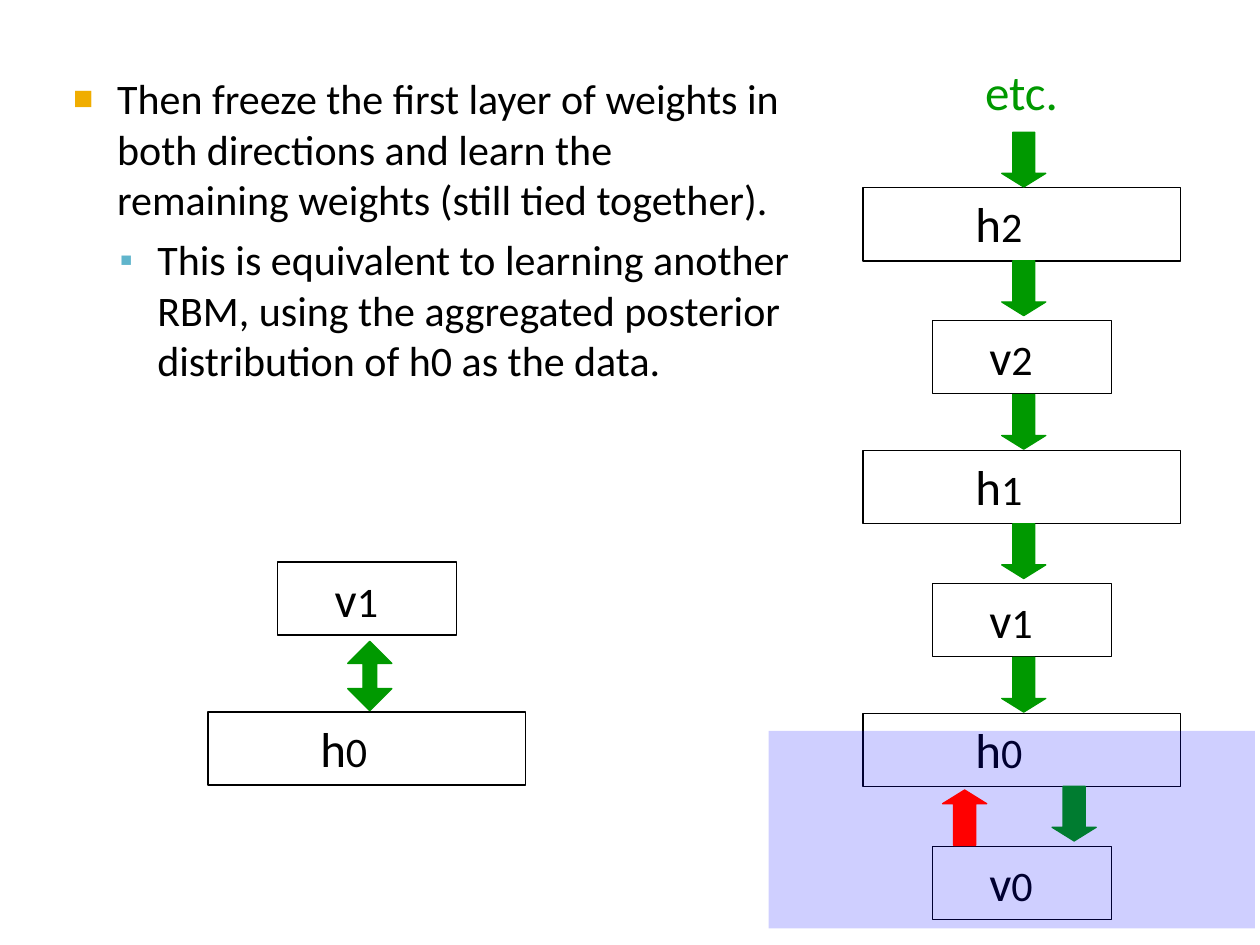
from pptx import Presentation
from pptx.dml.color import RGBColor
from pptx.enum.shapes import MSO_SHAPE
from pptx.enum.text import MSO_ANCHOR
from pptx.util import Pt
from lxml import etree

A = "{http://schemas.openxmlformats.org/drawingml/2006/main}"
COLORS = {"text": "000000", "down": "009900", "up": "FF0000", "frozen": "0000FF",
          "bullet1": "F0AD00", "bullet2": "60B5CC"}


def add_run(p, text, size=24, color="text", font="Calibri"):
    r = p.add_run()
    r.text = text
    r.font.size = Pt(size)
    r.font.name = font
    r.font.color.rgb = RGBColor.from_string(COLORS[color])


def add_shape(kind, x, y, w, h, fill=None, line=None):
    sp = s.shapes.add_shape(kind, Pt(x), Pt(y), Pt(w), Pt(h))
    sp.shadow.inherit = False
    if fill:
        sp.fill.solid()
        sp.fill.fore_color.rgb = RGBColor.from_string(COLORS[fill])
    else:
        sp.fill.background()
    if line:
        sp.line.color.rgb = RGBColor.from_string(COLORS[line])
        sp.line.width = Pt(0.75)
    else:
        sp.line.fill.background()
    return sp


prs = Presentation()
prs.slide_width, prs.slide_height = Pt(720), Pt(540)
s = prs.slides.add_slide(prs.slide_layouts[1])
title = s.shapes.title
title.element.getparent().remove(title.element)

# Bulleted explanation
body = s.placeholders[1]
body.left, body.top, body.width, body.height = Pt(28), Pt(34.5), Pt(430.5), Pt(252.5)
tf = body.text_frame
tf.word_wrap = True
tf.vertical_anchor = MSO_ANCHOR.TOP
tf.margin_left, tf.margin_top, tf.margin_right, tf.margin_bottom = Pt(4.3), Pt(7.2), Pt(7.2), Pt(3.6)
bullets = [
    ("Then freeze the first layer of weights in both directions and learn the "
     "remaining weights (still tied together).", 34.6, -25.2, "■", "bullet1", 80, 0),
    ("This is equivalent to learning another RBM, using the aggregated posterior "
     "distribution of h0 as the data.", 57.6, -21.6, "▪", "bullet2", 90, 5.5),
]
for level, (text, margin, indent, char, color, size, before) in enumerate(bullets):
    p = tf.paragraphs[0] if level == 0 else tf.add_paragraph()
    p.level = level
    p.space_before = Pt(before)
    pPr = p._p.get_or_add_pPr()
    pPr.set("marL", str(Pt(margin)))
    pPr.set("indent", str(Pt(indent)))
    clr = etree.SubElement(pPr, A + "buClr")
    etree.SubElement(clr, A + "srgbClr", val=COLORS[color])
    etree.SubElement(pPr, A + "buSzPct", val=str(size * 1000))
    etree.SubElement(pPr, A + "buFont", typeface="Arial")
    etree.SubElement(pPr, A + "buChar", char=char)
    add_run(p, text)

# Layer boxes: the directed stack, then the equivalent RBM on the left
STEP = 150.25
layers = []
for i, n in enumerate("210"):
    layers += [("h", n, 493.2, 107.3 + i * STEP), ("v", n, 532.8, 183.1 + i * STEP)]
layers += [("v", "1", 158.7, 321.1), ("h", "0", 118.8, 406.8)]
widths = {"h": 181.4, "v": 102.2}
insets = {"h": 64.2, "v": 32.5}
for name, n, x, y in layers:
    sp = add_shape(MSO_SHAPE.RECTANGLE, x, y, widths[name], 41.8, line="text")
    tf = sp.text_frame
    tf.vertical_anchor = MSO_ANCHOR.TOP
    tf.margin_left = Pt(insets[name])
    p = tf.paragraphs[0]
    p.alignment = 1
    add_run(p, name, size=28)
    add_run(p, n)

# Generative arrows
arrows = [(572.4, 75.6), (601.2, 449.3)]
for i in range(2):
    arrows += [(572.4, 149.1 + i * STEP), (572.4, 225.4 + i * STEP)]
for x, y in arrows:
    sp = add_shape(MSO_SHAPE.DOWN_ARROW, x, y, 25.2, 31.3, fill="down", line="down")
    sp.adjustments[1] = 0.31

# Two-way arrow of the RBM
sp = add_shape(MSO_SHAPE.UP_DOWN_ARROW, 198.7, 366.5, 25.2, 39.6, fill="down", line="down")
sp.adjustments[1] = 0.31

# Continuation label
tb = s.shapes.add_textbox(Pt(555.8), Pt(31.7), Pt(87.8), Pt(41))
tb.text_frame.word_wrap = True
add_run(tb.text_frame.paragraphs[0], "etc.", size=28, color="down")

# Frozen first layer, shaded
sp = add_shape(MSO_SHAPE.RECTANGLE, 439.2, 417.6, 277.9, 113, fill="frozen")
clr = sp.element.spPr.find(A + "solidFill").find(A + "srgbClr")
etree.SubElement(clr, A + "alpha", val="19000")

# Recognition arrow
sp = add_shape(MSO_SHAPE.DOWN_ARROW, 538.6, 451.4, 25.2, 31.7, fill="up", line="up")
sp.rotation = 180
sp.adjustments[1] = 0.31

prs.save("out.pptx")
